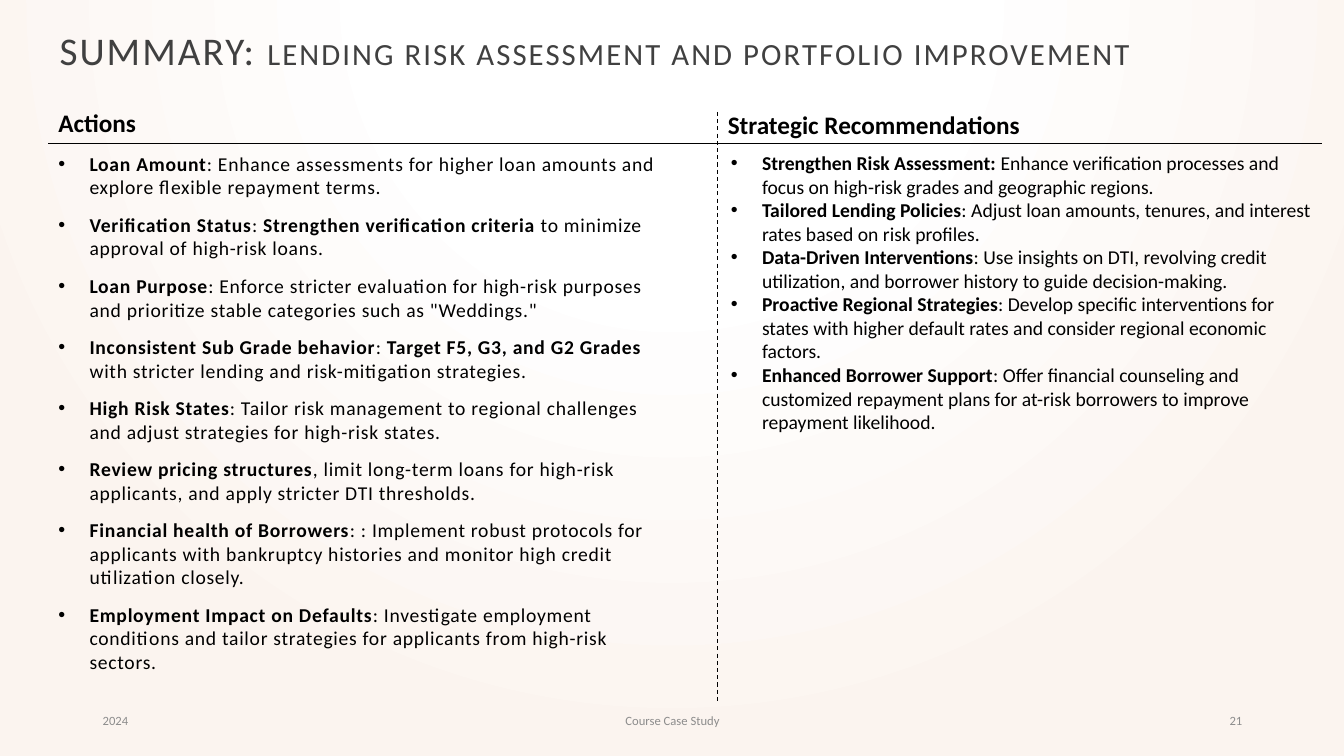
from lxml import etree
from pptx import Presentation
from pptx.dml.color import RGBColor
from pptx.enum.dml import MSO_LINE
from pptx.enum.shapes import MSO_CONNECTOR
from pptx.enum.text import MSO_ANCHOR, MSO_AUTO_SIZE, PP_ALIGN
from pptx.oxml import parse_xml
from pptx.oxml.ns import nsdecls, qn
from pptx.util import Inches, Pt

LEFT, CENTER, RIGHT = PP_ALIGN.LEFT, PP_ALIGN.CENTER, PP_ALIGN.RIGHT
TOP, MIDDLE, BOTTOM = MSO_ANCHOR.TOP, MSO_ANCHOR.MIDDLE, MSO_ANCHOR.BOTTOM
STRAIGHT, DASH = MSO_CONNECTOR.STRAIGHT, MSO_LINE.DASH
NO_FIT = MSO_AUTO_SIZE.NONE

# Content: the runs of a bullet alternate bold, regular, bold, regular
TITLE = [("SUMMARY: ", 28), ("LENDING RISK ASSESSMENT AND PORTFOLIO IMPROVEMENT", 22)]
ACTIONS = [
    ("Loan Amount", ": Enhance assessments for higher loan amounts and explore flexible repayment terms."),
    ("Verification Status", ": ", "Strengthen verification criteria",
     " to minimize approval of high-risk loans."),
    ("Loan Purpose", ": Enforce stricter evaluation for high-risk purposes and prioritize "
     "stable categories such as \"Weddings.\""),
    ("Inconsistent Sub Grade behavior", ": ", "Target F5, G3, and G2 Grades",
     " with stricter lending and risk-mitigation strategies."),
    ("High Risk States", ": Tailor risk management to regional challenges and adjust "
     "strategies for high-risk states."),
    ("Review pricing structures", ", limit long-term loans for high-risk applicants, "
     "and apply stricter DTI thresholds."),
    ("Financial health of Borrowers", ": : Implement robust protocols for applicants with "
     "bankruptcy histories and monitor high credit utilization closely."),
    ("Employment Impact on Defaults", ": Investigate employment conditions and tailor "
     "strategies for applicants from high-risk sectors."),
]
RECOMMENDATIONS = [
    ("Strengthen Risk Assessment: ", "Enhance verification processes and focus on "
     "high-risk grades and geographic regions."),
    ("Tailored Lending Policies", ": Adjust loan amounts, tenures, and interest rates "
     "based on risk profiles."),
    ("Data-Driven Interventions", ": Use insights on DTI, revolving credit utilization, "
     "and borrower history to guide decision-making."),
    ("Proactive Regional Strategies", ": Develop specific interventions for states with "
     "higher default rates and consider regional economic factors."),
    ("Enhanced Borrower Support", ": Offer financial counseling and customized repayment "
     "plans for at-risk borrowers to improve repayment likelihood."),
]
FOOTER = [("2024", 0.92, 3, LEFT), ("Course Case Study", 4.42, 4.5, CENTER), ("21", 9.42, 3, RIGHT)]

# Grid in inches
WIDTH, HEIGHT = 13.33, 7.5
MARGIN, DIVIDER, RULE_END = 0.48, 7.12, 13.11
RULE_Y, FOOTER_Y, ROW_H = 1.42, 6.95, 0.4
HANG = 0.31
FONT, BLACK, TITLE_GREY, FOOTER_GREY = "Calibri", "000000", "404040", "8C8C8C"


def color(value):
    return RGBColor.from_string(value)


def add_run(p, text, size, hue, bold=False, spacing=0):
    r = p.add_run()
    r.text = text
    r.font.name, r.font.size, r.font.bold = FONT, Pt(size), bold
    r.font.color.rgb = color(hue)
    if spacing:
        r.font._element.set("spc", str(int(spacing * 100)))


def set_frame(sp, anchor):
    tf = sp.text_frame
    tf.word_wrap, tf.auto_size, tf.vertical_anchor = True, NO_FIT, anchor
    return tf


def add_text(x, y, w, h, anchor=TOP):
    sp = slide.shapes.add_textbox(Inches(x), Inches(y), Inches(w), Inches(h))
    return set_frame(sp, anchor)


def add_bullets(tf, items, before=0, spacing=0):
    for i, item in enumerate(items):
        p = tf.add_paragraph() if i else tf.paragraphs[0]
        p.space_before = Pt(before)
        pPr = p._p.get_or_add_pPr()
        pPr.set("marL", str(Inches(HANG)))
        pPr.set("indent", str(-Inches(HANG)))
        etree.SubElement(pPr, qn("a:buFont")).set("typeface", "Arial")
        etree.SubElement(pPr, qn("a:buChar")).set("char", "•")
        for j, text in enumerate(item):
            add_run(p, text, 14, BLACK, j % 2 == 0, spacing)


def add_line(x1, y1, x2, y2, width, dash=None):
    line = slide.shapes.add_connector(STRAIGHT, Inches(x1), Inches(y1), Inches(x2), Inches(y2))
    line.line.color.rgb = color(BLACK)
    line.line.width = Pt(width)
    if dash:
        line.line.dash_style = dash
    etree.SubElement(line._element.spPr, qn("a:effectLst"))


prs = Presentation()
prs.slide_width, prs.slide_height = Inches(WIDTH), Inches(HEIGHT)
slide = prs.slides.add_slide(prs.slide_layouts[5])

# Background: a radial gradient centred above the slide
fill = slide.background.fill
fill.solid()
fill.fore_color.rgb = color("FFFFFF")
stops = "".join(f'<a:gs pos="{pos * 1000}"><a:srgbClr val="{hue}"/></a:gs>'
                for pos, hue in [(0, "FFFFFF"), (35, "FFFFFF"), (100, "FBF4EF")])
gradient = parse_xml(
    f'<a:gradFill {nsdecls("a")} rotWithShape="1"><a:gsLst>{stops}</a:gsLst><a:path path="circle">'
    '<a:fillToRect l="50000" t="-80000" r="50000" b="180000"/></a:path></a:gradFill>')
solid = slide.element.find(".//" + qn("p:bgPr")).find(qn("a:solidFill"))
solid.getparent().replace(solid, gradient)

# Title
title = slide.shapes.title
title.left, title.top = Inches(0.49), Inches(0.23)
title.width, title.height = Inches(12.77), Inches(0.55)
p = set_frame(title, BOTTOM).paragraphs[0]
p.alignment, p.line_spacing = LEFT, 0.9
for text, size in TITLE:
    add_run(p, text, size, TITLE_GREY, spacing=1.5)

# Column headings
for heading, x, y in [("Actions", MARGIN, 1.02), ("Strategic Recommendations", DIVIDER, 1.04)]:
    tf = add_text(x, y, 6.2, ROW_H)
    add_run(tf.paragraphs[0], heading, 18, BLACK, bold=True)

# Column bodies
add_bullets(add_text(MARGIN, 1.43, 6.18, 5.3, BOTTOM), ACTIONS, before=10, spacing=0.5)
add_bullets(add_text(7.15, 1.45, 6.06, 2.93), RECOMMENDATIONS)

# Heading rule and column divider
add_line(MARGIN, RULE_Y, RULE_END, RULE_Y, 0.5)
add_line(DIVIDER, 1.11, DIVIDER, FOOTER_Y, 0.75, DASH)

# Footer
for text, x, w, align in FOOTER:
    p = add_text(x, FOOTER_Y, w, ROW_H, MIDDLE).paragraphs[0]
    p.alignment = align
    add_run(p, text, 9, FOOTER_GREY)

prs.save("out.pptx")
